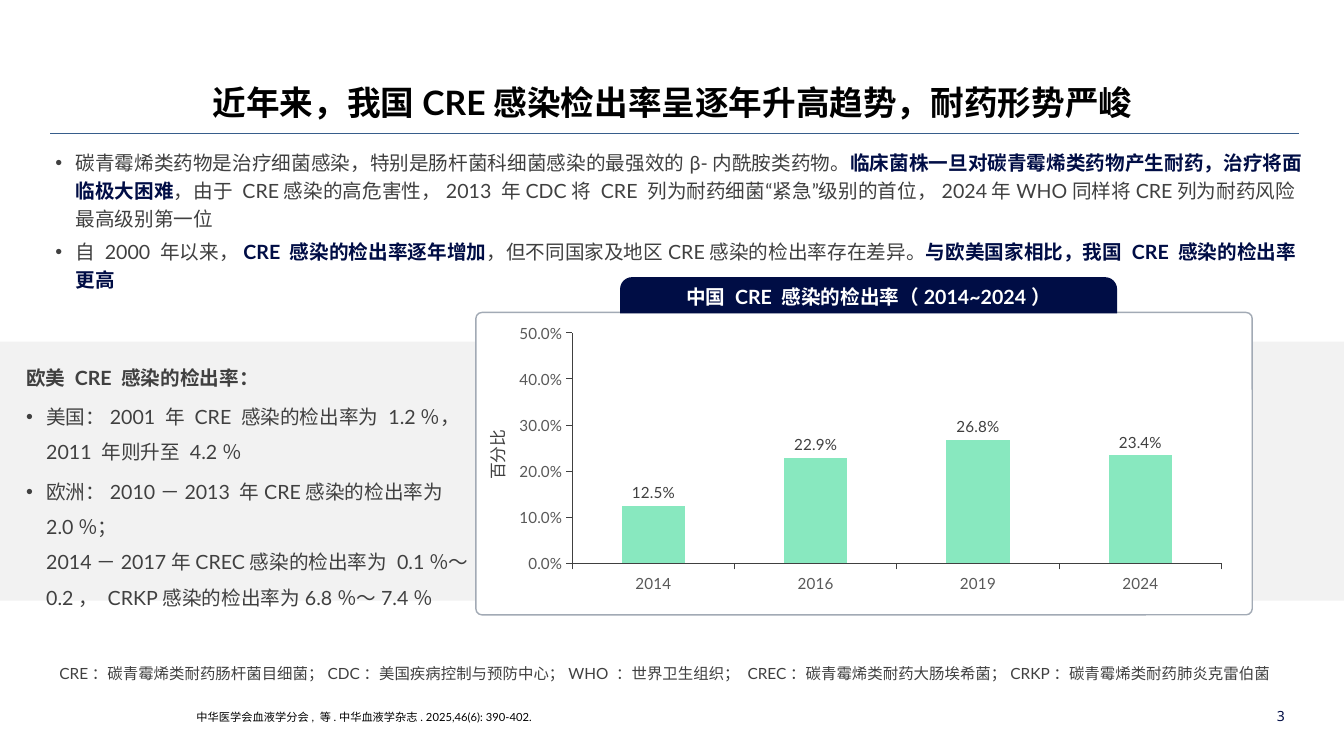
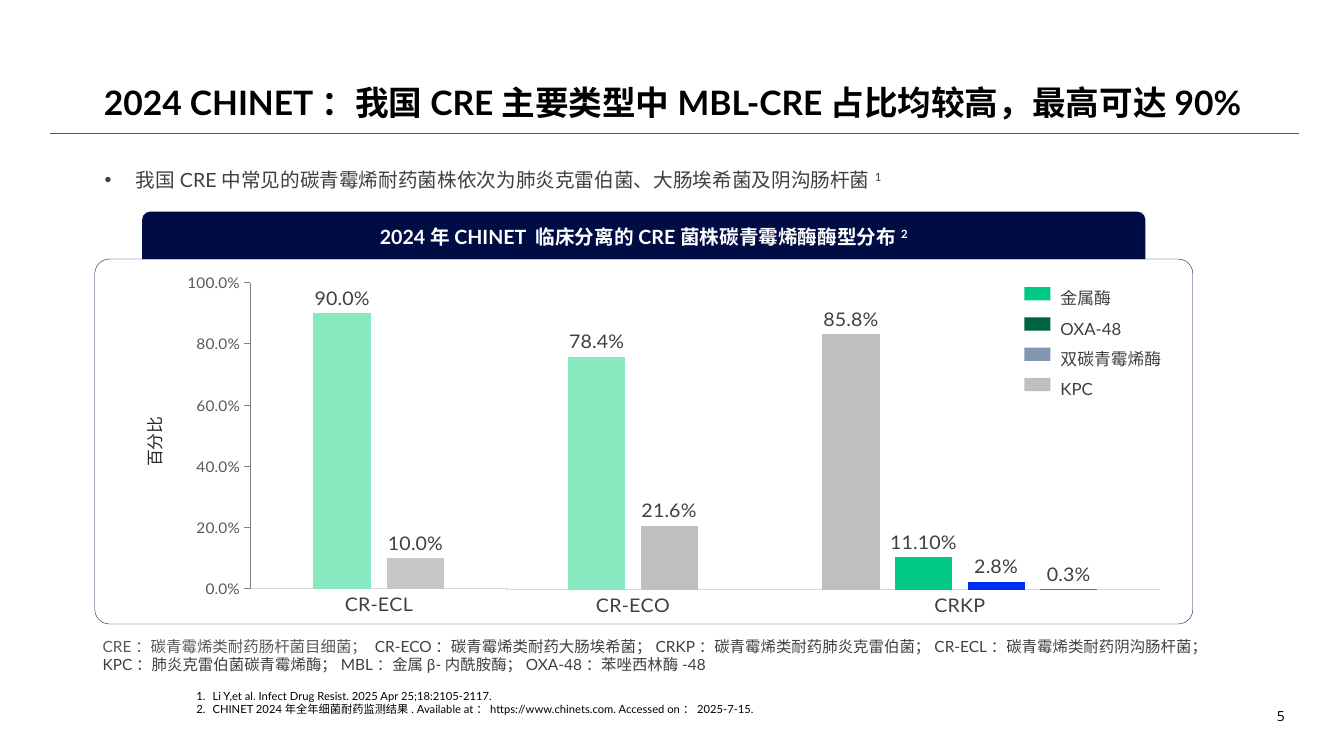
from lxml.etree import Element, SubElement
from pptx import Presentation
from pptx.chart.data import CategoryChartData as ChartData
from pptx.dml.color import RGBColor
from pptx.enum.chart import XL_CHART_TYPE as Kind, XL_LABEL_POSITION as Spot
from pptx.enum.chart import XL_TICK_MARK as Tick
from pptx.enum.shapes import MSO_CONNECTOR as Wire, MSO_SHAPE as Form
from pptx.enum.text import MSO_ANCHOR as Anchor, PP_ALIGN as Align
from pptx.oxml.ns import qn
from pptx.util import Inches, Pt

FONT = "Lato"
HUES = {
    "black": "000000", "white": "FFFFFF", "navy": "000D45", "rule": "375D8B",
    "text": "404040", "soft": "595959", "dark": "262626", "band": "F2F2F2",
    "edge": "A2AAB5", "axis": "808080", "base": "D9D9D9",
    "mint": "88E8BF", "green": "00C987", "deep": "006443", "leaf": "1E9A65",
    "blue": "002EF5", "slate": "8497B0", "gray": "BFBFBF", "pale": "C6C6C6",
}
KEY = {"color": "navy", "bold": True}
UP = {"raised": True}


def hue(name):
    return RGBColor.from_string(HUES[name])


# Text
def style(run, size, color, bold, font=FONT, raised=False):
    run.font.size, run.font.bold, run.font.name = Pt(size), bold, font
    run.font.color.rgb = hue(color)
    props = run.font._element
    SubElement(props, qn("a:ea"), typeface=font)
    if raised:
        props.set("baseline", "30000")


def bullet(par, mark, hang):
    props = par._p.get_or_add_pPr()
    props.set("marL", str(Inches(hang)))
    props.set("indent", str(-Inches(hang)))
    if mark == "1.":
        SubElement(props, qn("a:buAutoNum"), type="arabicPeriod")
    else:
        SubElement(props, qn("a:buFont"), typeface="Arial")
        SubElement(props, qn("a:buChar"), char=mark)


def text(frame, *runs, align=None, lead=None, after=None, mark=None, hang=0.2,
         size=14, color="text", bold=False, font=FONT):
    """Add one paragraph; a run is a string or a (string, format) pair."""
    par = frame.add_paragraph() if frame.text else frame.paragraphs[0]
    if mark:
        bullet(par, mark, hang)
    par.alignment, par.line_spacing = align, lead
    if after:
        par.space_after = Pt(after)
    plain = {"size": size, "color": color, "bold": bold, "font": font}
    for item in runs:
        words, extra = (item, {}) if isinstance(item, str) else item
        for num, line in enumerate(words.split("\n")):
            if num:
                par.add_line_break()
                SubElement(par._p[-1], qn("a:rPr"), sz=str(size * 100))
            run = par.add_run()
            run.text = line
            style(run, **{**plain, **extra})


def box(slide, left, top, wide, high, anchor=Anchor.TOP, turn=0):
    shape = slide.shapes.add_textbox(*map(Inches, (left, top, wide, high)))
    shape.rotation = turn
    frame = shape.text_frame
    frame.word_wrap, frame.vertical_anchor = True, anchor
    return frame


# Shapes
def block(slide, form, left, top, wide, high, fill, line=None, width=1, adj=()):
    shape = slide.shapes.add_shape(form, *map(Inches, (left, top, wide, high)))
    shape.shadow.inherit = False
    shape.fill.solid()
    shape.fill.fore_color.rgb = hue(fill)
    if line:
        shape.line.color.rgb = hue(line)
        shape.line.width = Pt(width)
    else:
        shape.line.fill.background()
    for num, val in enumerate(adj):
        shape.adjustments[num] = val
    return shape


def tab(slide, left, top, wide, high, round_, *runs):
    shape = block(slide, Form.ROUND_2_SAME_RECTANGLE, left, top, wide, high,
                  "navy", adj=(round_, 0))
    frame = shape.text_frame
    frame.word_wrap, frame.vertical_anchor = True, Anchor.MIDDLE
    text(frame, *runs, align=Align.CENTER, color="white", bold=True)


# Charts
def place(chart, area):
    """Fix the inner plot area and clear the chart background."""
    plot = chart._chartSpace.chart.plotArea
    old = plot.find(qn("c:layout"))
    if old is not None:
        plot.remove(old)
    layout = Element(qn("c:layout"))
    plot.insert(0, layout)
    manual = SubElement(layout, qn("c:manualLayout"))
    tags = ("layoutTarget", "xMode", "yMode", "x", "y", "w", "h")
    for tag, val in zip(tags, ("inner", "edge", "edge", *area)):
        SubElement(manual, qn("c:" + tag), val=str(val))
    back = Element(qn("c:spPr"))
    SubElement(back, qn("a:noFill"))
    chart._chartSpace.chart.addnext(back)


def pen(font, size, color):
    font.size, font.name = Pt(size), FONT
    font.color.rgb = hue(color)


def axis(item, tick, size, color, line):
    item.has_major_gridlines = False
    item.major_tick_mark, item.minor_tick_mark = tick, Tick.NONE
    pen(item.tick_labels.font, size, color)
    item.format.line.color.rgb = hue(line)
    item.format.line.width = Pt(0.75)


def bars(slide, at, area, cats, rows, gap=219, size=14, tick=Tick.NONE,
         ink="text", lines=("base", "axis"), top=1, step=0.2, scale=True):
    """Draw columns; each row holds values, colour and label format."""
    data = ChartData()
    data.categories = cats
    for num, (vals, _, form) in enumerate(rows, 1):
        data.add_series(f"Series {num}", vals, number_format=form)
    chart = slide.shapes.add_chart(
        Kind.COLUMN_CLUSTERED, *map(Inches, at), data).chart
    chart.has_legend = chart.has_title = False
    pen(chart.font, size, "black")
    place(chart, area)
    axis(chart.category_axis, tick, size, ink, lines[0])
    side = chart.value_axis
    axis(side, Tick.OUTSIDE, 11, "soft", lines[1])
    side.minimum_scale, side.maximum_scale, side.major_unit = 0, top, step
    side.tick_labels.number_format = "0.0%"
    side.tick_labels.number_format_is_linked = False
    side.visible = scale
    plot = chart.plots[0]
    plot.gap_width, plot.overlap, plot.vary_by_categories = gap, -27, False
    for item, (_, color, form) in zip(plot.series, rows):
        item.format.fill.solid()
        item.format.fill.fore_color.rgb = hue(color)
        tags = item.data_labels
        tags.show_value, tags.position = True, Spot.OUTSIDE_END
        tags.number_format, tags.number_format_is_linked = form, False
        pen(tags.font, size, "text")


# Shared slide frame
def page(deck, title, num):
    slide = deck.slides.add_slide(deck.slide_layouts[6])
    rule = slide.shapes.add_connector(
        Wire.STRAIGHT, *map(Inches, (0.5, 1.32, 12.88, 1.32)))
    rule.line.color.rgb = hue("rule")
    rule.line.width = Pt(0.75)
    SubElement(rule._element.spPr, qn("a:effectLst"))
    text(box(slide, 0.92, 0.76, 11.5, 0.5, Anchor.BOTTOM), title,
         align=Align.CENTER, size=24, color="black", bold=True)
    text(box(slide, 12.39, 6.9, 0.45, 0.4, Anchor.MIDDLE), str(num),
         align=Align.RIGHT, size=10, color="navy", font="Noto Sans")
    return slide


def trend(deck):
    slide = page(deck, "近年来，我国CRE感染检出率呈逐年升高趋势，耐药形势严峻", 3)
    block(slide, Form.RECTANGLE, 0, 3.39, 13.33, 2.57, "band")
    block(slide, Form.ROUNDED_RECTANGLE, 4.72, 3.1, 7.7, 3, "white", "edge",
          adj=(0.02,))
    bars(slide, (5.15, 2.51, 6.98, 3.43), (0.064, 0.231, 0.934, 0.667),
         ("2014", "2016", "2019", "2024"),
         [((0.125, 0.229, 0.268, 0.234), "mint", "0.0%")],
         gap=157, size=11, tick=Tick.OUTSIDE, ink="soft",
         lines=("text", "text"), top=0.5, step=0.1)
    tab(slide, 6.15, 2.75, 4.93, 0.36, 0.33, "中国 CRE 感染的检出率（2014~2024）")
    text(box(slide, 3.8, 4.36, 2.28, 0.3, turn=270), "百分比",
         align=Align.CENTER, size=12)

    # Key points
    lead = box(slide, 0.45, 1.4, 12.59, 1.25)
    look = {"lead": 1.2, "after": 3, "mark": "•"}
    text(lead,
         "碳青霉烯类药物是治疗细菌感染，特别是肠杆菌科细菌感染的最强效的β-内酰胺类药物。",
         ("临床菌株一旦对碳青霉烯类药物产生耐药，治疗将面临极大困难", KEY),
         "，由于 CRE感染的高危害性，2013 年CDC将 CRE 列为耐药细菌“紧急”级别的首位，"
         "2024年WHO同样将CRE列为耐药风险最高级别第一位", **look)
    text(lead, "自 2000 年以来，", ("CRE 感染的检出率逐年增加", KEY),
         "，但不同国家及地区CRE感染的检出率存在差异。",
         ("与欧美国家相比，我国 CRE 感染的检出率更高", KEY), **look)

    # Rates abroad
    west = box(slide, 0.16, 3.46, 4.62, 2.26)
    look = {"lead": 1.5, "after": 3}
    text(west, "欧美 CRE 感染的检出率：", bold=True, **look)
    for words in (
            "美国：2001 年 CRE 感染的检出率为 1.2％，2011 年则升至 4.2％",
            "欧洲：2010－2013 年CRE感染的检出率为 2.0％；\n"
            "2014－2017年CREC感染的检出率为 0.1％～0.2， "
            "CRKP感染的检出率为6.8％～7.4％"):
        text(west, words, mark="•", **look)

    # Terms and source
    text(box(slide, 0.49, 6.54, 12.35, 0.29),
         "CRE：碳青霉烯类耐药肠杆菌目细菌；CDC：美国疾病控制与预防中心；"
         "WHO ：世界卫生组织； CREC：碳青霉烯类耐药大肠埃希菌；"
         "CRKP：碳青霉烯类耐药肺炎克雷伯菌", size=11)
    text(box(slide, 1.85, 7, 8.79, 0.38),
         "中华医学会血液学分会, 等.中华血液学杂志. 2025,46(6): 390-402.",
         size=8, color="black")


def types(deck):
    slide = page(
        deck, "2024 CHINET：我国CRE主要类型中MBL-CRE占比均较高，最高可达90%", 5)
    text(box(slide, 0.94, 1.62, 9.58, 0.34),
         "我国CRE中常见的碳青霉烯耐药菌株依次为肺炎克雷伯菌、大肠埃希菌及阴沟肠杆菌",
         ("1", UP), mark="•", hang=0.31)
    block(slide, Form.ROUNDED_RECTANGLE, 0.94, 2.57, 10.89, 3.62, "white",
          "navy", 0.25, (0.04,))
    tab(slide, 1.41, 2.1, 9.95, 0.47, 0.17,
        "2024年CHINET 临床分离的CRE菌株碳青霉烯酶酶型分布", ("2", UP))

    # One chart per strain
    one = "0.0%"
    bars(slide, (1.09, 2.68, 4.23, 3.43), (0.329, 0.038, 0.604, 0.926),
         ["CR-ECL"], [((0.9,), "mint", one), ((0.1,), "pale", one)])
    bars(slide, (4.59, 2.78, 3.32, 3.34), (0.129, 0.038, 0.759, 0.926),
         ["CR-ECO"], [((0.784,), "mint", one), ((0.216,), "gray", one)],
         scale=False)
    bars(slide, (6.94, 2.77, 4.62, 3.35), (0.129, 0.038, 0.859, 0.926),
         ["CRKP"], [((0.858,), "gray", one), ((0.111,), "green", "0.00%"),
                    ((0.028,), "blue", one), ((0.003,), "leaf", one)],
         scale=False)
    text(box(slide, 0.71, 4.23, 1.65, 0.3, turn=270), "百分比",
         align=Align.CENTER, size=12, color="dark")

    # Legend
    names = box(slide, 10.42, 2.71, 2.66, 1.27)
    for num, (color, name) in enumerate((
            ("green", "金属酶"), ("deep", "OXA-48"),
            ("slate", "双碳青霉烯酶"), ("gray", "KPC"))):
        block(slide, Form.RECTANGLE, 10.16, 2.85 + 0.3 * num, 0.26, 0.13, color)
        text(names, name, size=12, lead=1.5)

    # Terms and sources
    text(box(slide, 0.92, 6.27, 11.02, 0.47),
         ("CRE：碳青霉烯类耐药肠杆菌目细菌； ", {"color": "soft"}),
         "CR-ECO：碳青霉烯类耐药大肠埃希菌；CRKP：碳青霉烯类耐药肺炎克雷伯菌；"
         "CR-ECL：碳青霉烯类耐药阴沟肠杆菌；KPC：肺炎克雷伯菌碳青霉烯酶；"
         "MBL：金属β-内酰胺酶；OXA-48：苯唑西林酶-48", size=11)
    refs = box(slide, 1.85, 6.79, 8.03, 0.37)
    for words in (
            "Li Y,et al. Infect Drug Resist. 2025 Apr 25;18:2105-2117.",
            "CHINET 2024年全年细菌耐药监测结果. Available at："
            "https://www.chinets.com. Accessed on：2025-7-15."):
        text(refs, words, size=8, color="black", mark="1.", hang=0.16)


def main():
    deck = Presentation()
    deck.slide_width, deck.slide_height = Inches(13.33), Inches(7.5)
    trend(deck)
    types(deck)
    deck.save("out.pptx")


if __name__ == "__main__":
    main()
